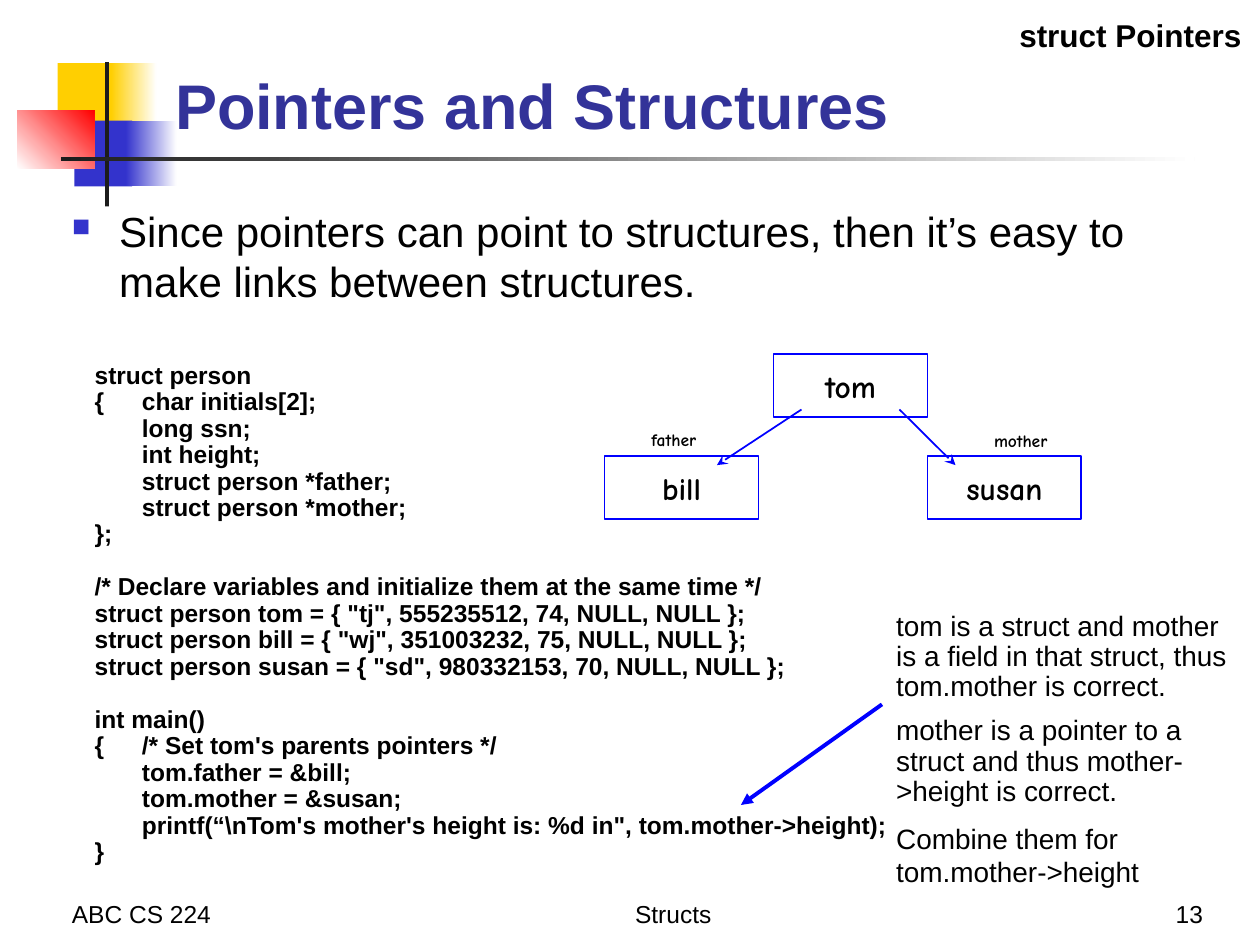
"""Build the slide on pointers and structures."""
import pptx
import pptx.util
import pptx.dml.color
import pptx.enum.dml
import pptx.enum.shapes
import pptx.enum.text
import pptx.oxml
import pptx.oxml.ns
from lxml import etree

Pt = pptx.util.Pt
ALIGN = pptx.enum.text.PP_ALIGN
ANCHOR = pptx.enum.text.MSO_ANCHOR
RECT = pptx.enum.shapes.MSO_SHAPE.RECTANGLE
qn = pptx.oxml.ns.qn
BLUE, HAND = "0000FF", "Comic Neue"
CODE_LINE = 15.1

ornaments = [
    ((33, 36, 35, 37.5), ["FFCF01"], 0),
    ((63.5, 36, 26, 37.5), ["FFCF01", "FFFFFF"], 0),
    ((42.5, 69, 33, 37.5), ["3333CC"], 0),
    ((72, 69, 29, 37.5), ["3333CC", "FFFFFF"], 0),
    ((10, 63, 44, 33.5), ["FFFFFF", "FF0000"], 45),
    ((60, 35.5, 2.3, 82.5), ["1C1C1C"], 0),
    ((34.7, 89.5, 648, 2.3), ["1C1C1C", "FFFFFF"], 0),
]
footers = [
    ("ABC CS 224", (34, 498, 150, 36), ALIGN.LEFT),
    ("Structs", (200, 498, 369.5, 36), ALIGN.CENTER),
    ("13", (544.5, 498, 150, 36), ALIGN.RIGHT),
]
point = ("Since pointers can point to structures, then it\u2019s easy to make "
         "links between structures.")
code_blocks = [
    ["struct person",
     "{\tchar initials[2];",
     "\tlong ssn;",
     "\tint height;",
     "\tstruct person *father;",
     "\tstruct person *mother;",
     "};"],
    ["/* Declare variables and initialize them at the same time */",
     'struct person tom = { "tj", 555235512, 74, NULL, NULL };',
     'struct person bill = { "wj", 351003232, 75, NULL, NULL };',
     'struct person susan = { "sd", 980332153, 70, NULL, NULL };'],
    ["int main()",
     "{\t/* Set tom's parents pointers */",
     "\ttom.father = &bill;",
     "\ttom.mother = &susan;",
     "\tprintf(\u201c\\nTom's mother's height is: %d in\", tom.mother->height);",
     "}"],
]
people = [("tom", 442, 202.3), ("susan", 530, 260.8), ("bill", 345.5, 260.8)]
relations = [("mother", (558, 242, 50.5, 19.5)), ("father", (362, 241.3, 46, 19.5))]
arrows = [
    ((514, 234), (546, 265.8), 1, "stealth"),
    ((458, 234), (409.7, 265.8), 1, "stealth"),
    ((504, 402.5), (423.4, 460), 2.25, "triangle"),
]
notes = [
    ("tom is a struct and mother is a field in that struct, thus tom.mother is correct.", 0.9),
    ("mother is a pointer to a struct and thus mother->height is correct.", 0.9),
    ("Combine them for tom.mother->height", 1),
]

deck = pptx.Presentation()
deck.slide_width, deck.slide_height = Pt(720), Pt(540)
slide = deck.slides.add_slide(deck.slide_layouts[6])


def rgb(value):
    return pptx.dml.color.RGBColor.from_string(value)


def add_rect(box):
    rect = slide.shapes.add_shape(RECT, *map(Pt, box))
    rect.shadow.inherit = False
    return rect


def write(content, box=None, host=None, size=14, color="000000", font="Arial",
          bold=False, align=ALIGN.LEFT, anchor=ANCHOR.TOP, wrap=True):
    """Fill a shape or a new text box with (text, line spacing, space before) rows."""
    host = host or slide.shapes.add_textbox(*map(Pt, box))
    frame = host.text_frame
    frame.word_wrap, frame.vertical_anchor = wrap, anchor
    rows = [(content, 1, 0)] if isinstance(content, str) else content
    for index, (text, spacing, before) in enumerate(rows):
        para = frame.add_paragraph() if index else frame.paragraphs[0]
        para.alignment = align
        para.line_spacing, para.space_before = spacing, Pt(before)
        run = para.add_run()
        run.text = text
        run.font.size, run.font.name, run.font.bold = Pt(size), font, bold
        run.font.color.rgb = rgb(color)
    return frame


def add_arrow(start, end, width, head):
    arrow = slide.shapes.add_connector(
        pptx.enum.shapes.MSO_CONNECTOR.STRAIGHT, *map(Pt, start + end))
    arrow.line.color.rgb, arrow.line.width = rgb(BLUE), Pt(width)
    etree.SubElement(arrow.line._get_or_add_ln(), qn("a:tailEnd"), type=head)
    etree.SubElement(arrow._element.spPr, qn("a:effectLst"))


for box, colors, angle in ornaments:
    ornament = add_rect(box)
    ornament.line.fill.background()
    if len(colors) == 1:
        ornament.fill.solid()
        ornament.fill.fore_color.rgb = rgb(colors[0])
    else:
        ornament.fill.gradient()
        ornament.fill.gradient_angle = angle
        for stop, color in zip(ornament.fill.gradient_stops, colors):
            stop.color.rgb = rgb(color)

for text, box, align in footers:
    write(text, box, align=align, anchor=ANCHOR.BOTTOM)
write("Pointers and Structures", (93, 16.6, 613.5, 68.4), size=36,
      color="333399", bold=True, anchor=ANCHOR.BOTTOM)

body = write(point, (34, 113.8, 658, 111), size=24)
bullet_format = body.paragraphs[0]._p.get_or_add_pPr()
bullet_format.set("marL", str(Pt(27)))
bullet_format.set("indent", str(-Pt(27)))
bullet_color = etree.SubElement(bullet_format, qn("a:buClr"))
etree.SubElement(bullet_color, qn("a:srgbClr"), val="3333CC")
etree.SubElement(bullet_format, qn("a:buSzPct"), val="60000")
etree.SubElement(bullet_format, qn("a:buChar"), char="\u25a0")

code_rows = [(line, 0.9, CODE_LINE if block and not row else 0)
             for block, lines in enumerate(code_blocks)
             for row, line in enumerate(lines)]
code = write(code_rows, (47, 203.8, 497.5, 294.5), bold=True)
for para in code.paragraphs:
    tabs = etree.SubElement(para._p.get_or_add_pPr(), qn("a:tabLst"))
    etree.SubElement(tabs, qn("a:tab"), pos=str(Pt(27)), algn="l")

for person, left, top in people:
    node = add_rect((left, top, 88, 36))
    node.fill.background()
    node.line.color.rgb, node.line.width = rgb(BLUE), Pt(1)
    write(person, host=node, size=18, font=HAND, bold=True,
          align=ALIGN.CENTER, anchor=ANCHOR.MIDDLE, wrap=False)
for relation, box in relations:
    write(relation, box, size=10, font=HAND, bold=True,
          align=ALIGN.CENTER, anchor=ANCHOR.MIDDLE, wrap=False)

write([(text, spacing, 8 if index else 0) for index, (text, spacing) in enumerate(notes)],
      (505, 346.3, 209, 169), size=16)
for arrow in arrows:
    add_arrow(*arrow)
write("struct Pointers", (427, 5.8, 289.5, 29), size=18, bold=True, align=ALIGN.RIGHT)

deck.save("out.pptx")
